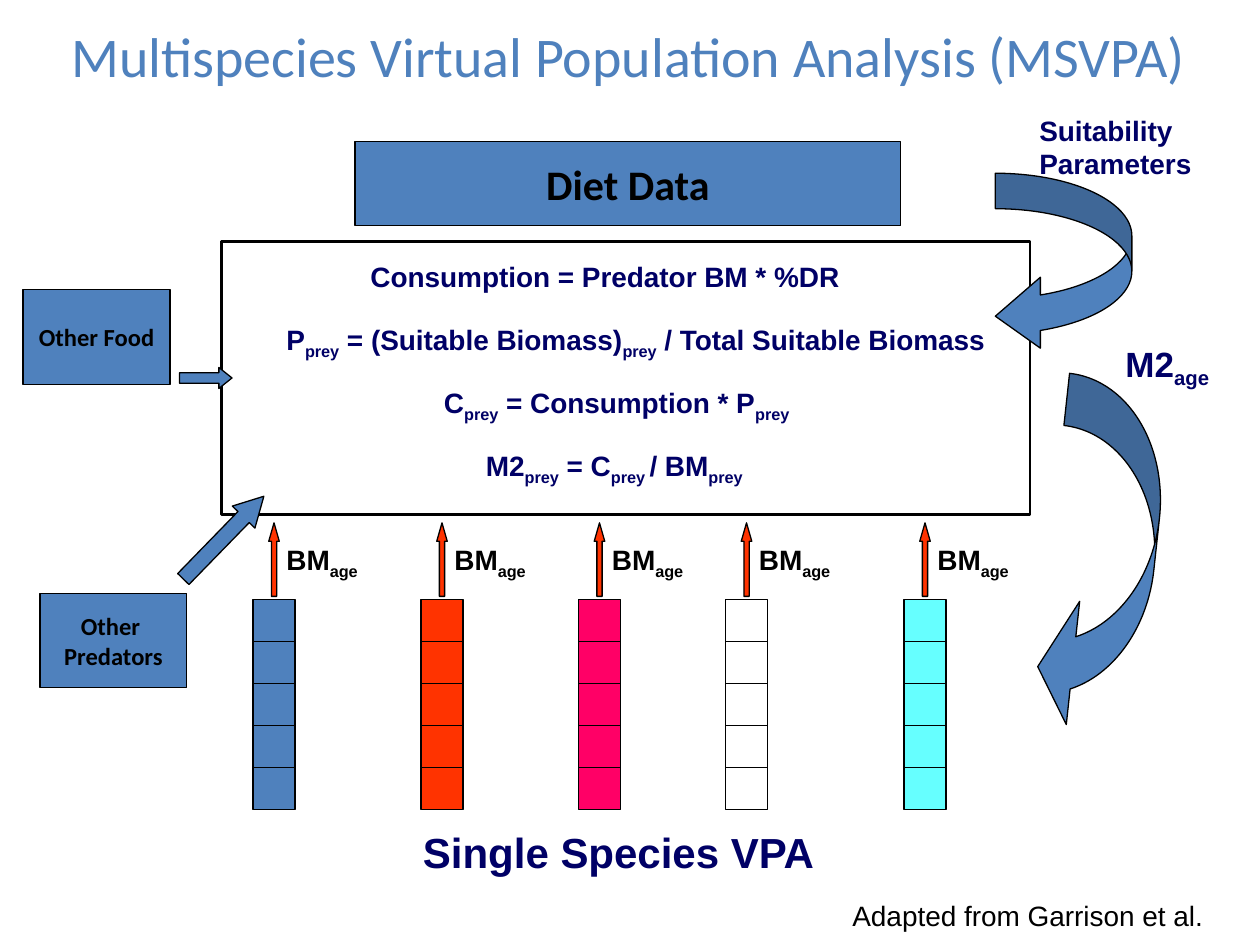
from lxml.etree import SubElement
from pptx import Presentation
from pptx.dml.color import RGBColor
from pptx.enum.shapes import MSO_CONNECTOR, MSO_SHAPE as SHAPE
from pptx.enum.text import MSO_ANCHOR as ANCHOR, MSO_AUTO_SIZE, PP_ALIGN as ALIGN
from pptx.oxml.ns import qn
from pptx.util import Inches, Pt

UNIT = Inches(10) / 120
BLACK, NAVY, BLUE, RED = "000000", "000066", "4F81BD", "FF3300"
SPECIES = [(24.1, BLUE), (40.1, RED), (55.1, "FF0066"), (69.1, "FFFFFF"), (86.1, "66FFFF")]
AGE_CLASSES = 5


def grid(*cells):
    return [round(cell * UNIT) for cell in cells]


def color(value):
    return RGBColor.from_string(value)


def write(shape, lines, size, text_color=NAVY, font="Arial", bold=True,
          align=ALIGN.LEFT, anchor=ANCHOR.TOP, wrap=False):
    frame = shape.text_frame
    frame.word_wrap = wrap
    frame.vertical_anchor = anchor
    for index, line in enumerate(lines):
        paragraph = frame.paragraphs[0] if index == 0 else frame.add_paragraph()
        paragraph.alignment = align
        for part, text in enumerate(line.split("|")):
            if not text:
                continue
            run = paragraph.add_run()
            run.text = text
            run.font.name, run.font.size, run.font.bold = font, Pt(size), bold
            run.font.color.rgb = color(text_color)
            if part % 2:
                run.font._element.set("baseline", "-25000")


def add_label(shapes, box, lines, size, **style):
    label = shapes.add_textbox(*grid(*box))
    write(label, lines, size, **style)
    label.text_frame.auto_size = MSO_AUTO_SIZE.SHAPE_TO_FIT_TEXT


def add_figure(shapes, kind, box, fill=BLUE, weight=0.75, adjustments=(), rotation=0):
    shape = shapes.add_shape(kind, *grid(*box))
    shape.shadow.inherit = False
    if fill:
        shape.fill.solid()
        shape.fill.fore_color.rgb = color(fill)
    else:
        shape.fill.background()
    shape.line.color.rgb = color(BLACK)
    shape.line.width = Pt(weight)
    for index, value in enumerate(adjustments):
        shape.adjustments[index] = value
    shape.rotation = rotation
    return shape


def add_source_box(shapes, box, lines, size):
    shape = add_figure(shapes, SHAPE.RECTANGLE, box)
    write(shape, lines, size, text_color=BLACK, font="Calibri",
          align=ALIGN.CENTER, anchor=ANCHOR.MIDDLE)


def add_title(slide, box):
    title = slide.shapes.title
    title.left, title.top, title.width, title.height = grid(*box)
    write(title, ["Multispecies Virtual Population Analysis (MSVPA)"], 32, text_color=BLUE,
          font="Calibri", bold=False, align=ALIGN.CENTER, anchor=ANCHOR.MIDDLE)


def add_equations(shapes, box):
    left, top, width, height = box
    add_figure(shapes, SHAPE.RECTANGLE, box, fill=None, weight=1.25)
    equations = [
        (13, 47.3, "Consumption = Predator BM * %DR"),
        (5, 72, "P|prey| = (Suitable Biomass)|prey| / Total Suitable Biomass"),
        (20, 36.6, "C|prey| = Consumption * P|prey"),
        (24, 32, "M2|prey| = C|prey |/ BM|prey"),
    ]
    for row, (indent, span, text) in enumerate(equations):
        add_label(shapes, (left + indent, top + 1.1 + 6 * row, span, 4.4), [text], 16, wrap=True)


def add_species(shapes, box, fill):
    left, top, width, height = box
    bar_top, bar_height = top + 7.3, height - 7.3
    group = shapes.add_group_shape()
    add_figure(group.shapes, SHAPE.RECTANGLE, (left, bar_top, width, bar_height), fill)
    for step in range(1, AGE_CLASSES):
        row = bar_top + step * bar_height / AGE_CLASSES
        divider = group.shapes.add_connector(
            MSO_CONNECTOR.STRAIGHT, *grid(left + width, row, left, row))
        divider.line.color.rgb = color(BLACK)
        divider.line.width = Pt(0.75)
        SubElement(divider._element.spPr, qn("a:effectLst"))
    add_figure(shapes, SHAPE.UP_ARROW, (left + width / 2 - 0.5, top, 1, 7), RED,
               adjustments=(0.5, 1.75))
    add_label(shapes, (left + 2, top + 1.3, 11, 4.4), ["BM|age"], 16,
              text_color=BLACK, wrap=True)


def add_inputs(shapes, box):
    left, top, width, height = box
    add_source_box(shapes, (left, top, 14, 9), ["Other Food"], 14)
    add_figure(shapes, SHAPE.RIGHT_ARROW, (left + 14.9, top + 7.4, 5, 2),
               adjustments=(0.5, 0.625))
    add_source_box(shapes, (left + 1.6, top + height - 9, 14, 9), ["Other ", "Predators"], 14)
    add_figure(shapes, SHAPE.RIGHT_ARROW, (left + 13.6, top + 22.1, 11, 3),
               adjustments=(0.5, 0.92), rotation=314.2)


def add_feedback(shapes, box):
    left, top, width, height = box
    add_figure(shapes, SHAPE.CURVED_DOWN_ARROW, (left - 6.8, top + 37.8, 34, 10),
               adjustments=(0.5, 1.18, 0.33), rotation=96.2)
    add_label(shapes, (left + width - 14, top + 21.8, 14, 5.2), ["M2|age"], 20, wrap=True)
    add_figure(shapes, SHAPE.CURVED_LEFT_ARROW, (left, top + 6.3, 13, 17),
               adjustments=(0.26, 0.52, 0.33))
    add_label(shapes, (left + 3, top, 17, 7.7), ["Suitability", "Parameters"], 16)


def main():
    presentation = Presentation()
    presentation.slide_width, presentation.slide_height = grid(120, 90)
    slide = presentation.slides.add_slide(presentation.slide_layouts[5])
    shapes = slide.shapes
    add_title(slide, (3.2, 1.4, 113.4, 7.7))
    add_equations(shapes, (21.1, 23, 77, 26))
    for column, fill in SPECIES:
        add_species(shapes, (column, 49.8, 4, 27.3), fill)
    add_inputs(shapes, (2.2, 27.6, 22, 37.9))
    add_source_box(shapes, (33.8, 13.5, 52, 8), ["Diet Data"], 24)
    add_feedback(shapes, (94.8, 10.2, 25.2, 60))
    add_label(shapes, (39.1, 78.1, 40, 6), ["Single Species VPA"], 24)
    add_label(shapes, (80, 85, 39, 4.4), ["Adapted from Garrison et al."], 16,
              text_color=BLACK, bold=False, wrap=True)
    presentation.save("out.pptx")


if __name__ == "__main__":
    main()
